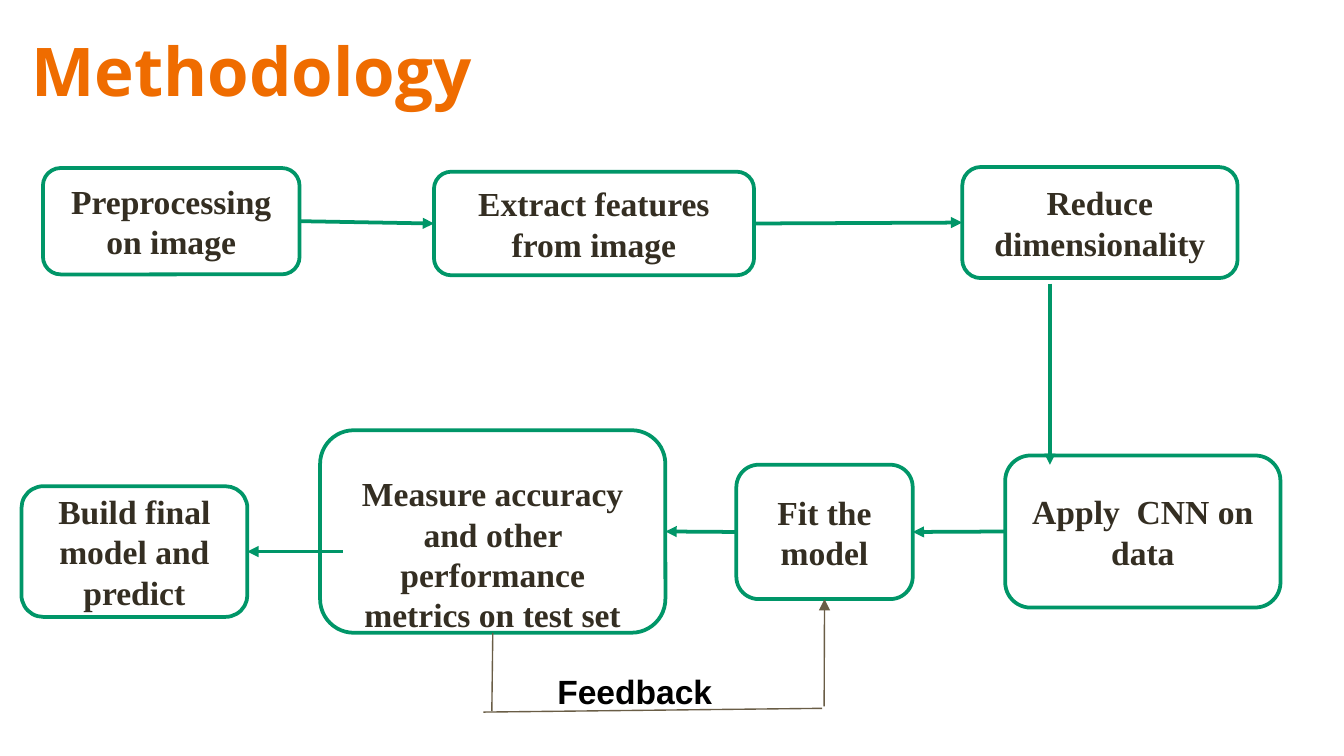
from lxml import etree
from pptx import Presentation
from pptx.dml.color import RGBColor
from pptx.enum.shapes import MSO_CONNECTOR, MSO_SHAPE
from pptx.enum.text import MSO_ANCHOR, PP_ALIGN
from pptx.oxml.ns import qn
from pptx.util import Pt

ROUND = MSO_SHAPE.ROUNDED_RECTANGLE
LINE = MSO_CONNECTOR.STRAIGHT
TOP, MIDDLE = MSO_ANCHOR.TOP, MSO_ANCHOR.MIDDLE
LEFT, CENTER = PP_ALIGN.LEFT, PP_ALIGN.CENTER
WEST, SOUTH, EAST = 1, 2, 3  # connection sites

COLORS = {
    "white": "FFFFFF",
    "green": "009668",
    "brown": "695D46",
    "ink": "342E22",
    "orange": "EF6C00",
    "black": "000000",
}

# Step name: text, box (left, top, width, height)
STEPS = {
    "prep": ("Preprocessing on image", (23, 90, 137.5, 57)),
    "extract": ("Extract features from image", (232.5, 92, 171.5, 55.5)),
    "reduce": ("Reduce dimensionality", (515.5, 89.5, 147.5, 59.5)),
    "apply": ("Apply  CNN on data", (538.5, 244, 147.5, 81.5)),
    "fit": ("Fit the model", (394.5, 249, 94.5, 72)),
    "measure": ("Measure accuracy and other performance metrics on test set",
                (171.5, 230.5, 185, 108.5)),
    "build": ("Build final model and predict", (11.5, 260.5, 121, 70)),
}

# Steps joined side to side
LINKS = [
    ("prep", EAST, "extract", WEST),
    ("extract", EAST, "reduce", WEST),
    ("apply", WEST, "fit", EAST),
    ("fit", WEST, "measure", EAST),
]


def color(name):
    return RGBColor.from_string(COLORS[name])


def write(shape, text, font, size, tint, align, anchor, pads):
    frame = shape.text_frame
    frame.word_wrap = True
    frame.vertical_anchor = anchor
    frame.margin_left, frame.margin_top, frame.margin_right, frame.margin_bottom = map(Pt, pads)
    para = frame.paragraphs[0]
    para.alignment = align
    run = para.add_run()
    run.text = text
    run.font.name = font
    run.font.size = Pt(size)
    run.font.bold = True
    run.font.color.rgb = color(tint)


def add_line(slide, start, end, tint="green", width=2, arrow=True):
    """Each end is a point (x, y) or a pair (shape, site)."""
    points = [(0, 0) if hasattr(e[0], "shape_id") else e for e in (start, end)]
    line = slide.shapes.add_connector(LINE, *(Pt(v) for p in points for v in p))
    if hasattr(start[0], "shape_id"):
        line.begin_connect(*start)
    if hasattr(end[0], "shape_id"):
        line.end_connect(*end)
    line.line.color.rgb = color(tint)
    line.line.width = Pt(width)
    if arrow:
        etree.SubElement(line.line._get_or_add_ln(), qn("a:tailEnd"), type="triangle")
    etree.SubElement(line._element.spPr, qn("a:effectLst"))


def add_title(slide, box):
    title = slide.shapes.title
    title.left, title.top, title.width, title.height = map(Pt, box)
    write(title, "Methodology", "Open Sans", 36, "orange", LEFT, TOP, (7.2,) * 4)


def add_step(slide, text, box, pads=(7.2, 3.6, 7.2, 3.6)):
    step = slide.shapes.add_shape(ROUND, *map(Pt, box))
    step.shadow.inherit = False
    step.fill.solid()
    step.fill.fore_color.rgb = color("white")
    step.line.color.rgb = color("green")
    step.line.width = Pt(2)
    write(step, text, "Times New Roman", 18, "ink", CENTER, MIDDLE, pads)
    return step


def add_flow(slide):
    steps = {}
    for name, (text, box) in STEPS.items():
        # The accuracy text sits low in its box
        extra = {"pads": (7.2, 24, 7.2, 0)} if name == "measure" else {}
        steps[name] = add_step(slide, text, box, **extra)
    for first, out, second, into in LINKS:
        add_line(slide, (steps[first], out), (steps[second], into))
    add_line(slide, (562.5, 152), (562.5, 249))
    add_line(slide, (183.5, 295.5), (steps["build"], WEST + 2))
    return steps


def add_feedback(slide, source, target, box):
    left, top, width, height = box
    right, base = left + width, top + height
    thin = {"tint": "brown", "width": 0.75}
    add_line(slide, (source, SOUTH), (left + 4.5, base - 0.5), arrow=False, **thin)
    add_line(slide, (left, base), (right - 1, base - 2), arrow=False, **thin)
    add_line(slide, (right, base - 3), (target, SOUTH), **thin)
    label = slide.shapes.add_textbox(Pt(left + 32.5), Pt(top + 13), Pt(121), Pt(26.5))
    write(label, "Feedback", "Arial", 18, "black", LEFT, TOP, (7.2,) * 4)


def main():
    deck = Presentation()
    deck.slide_width, deck.slide_height = Pt(720), Pt(405)
    slide = deck.slides.add_slide(deck.slide_layouts[5])
    add_title(slide, (9.5, 8.5, 671, 55.5))
    steps = add_flow(slide)
    add_feedback(slide, steps["measure"], steps["fit"], (259, 339, 182.5, 42.5))
    deck.save("out.pptx")


if __name__ == "__main__":
    main()
